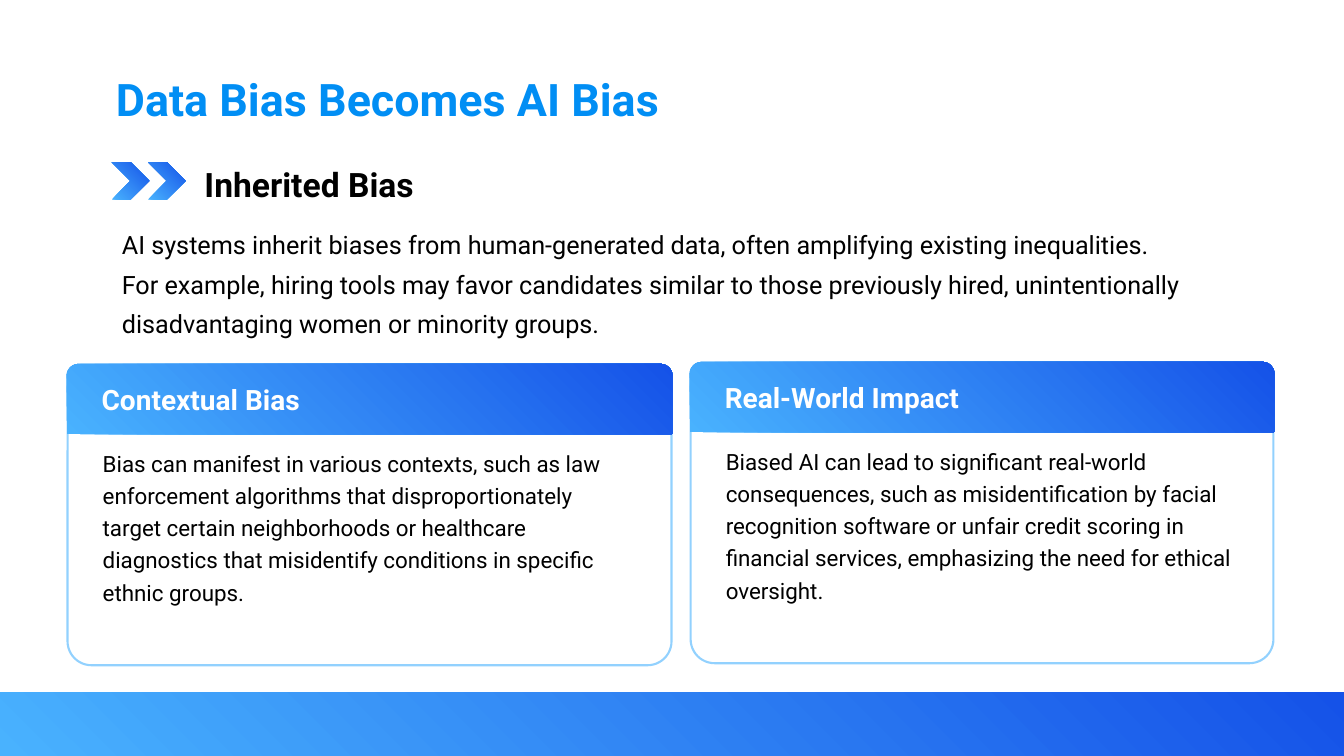
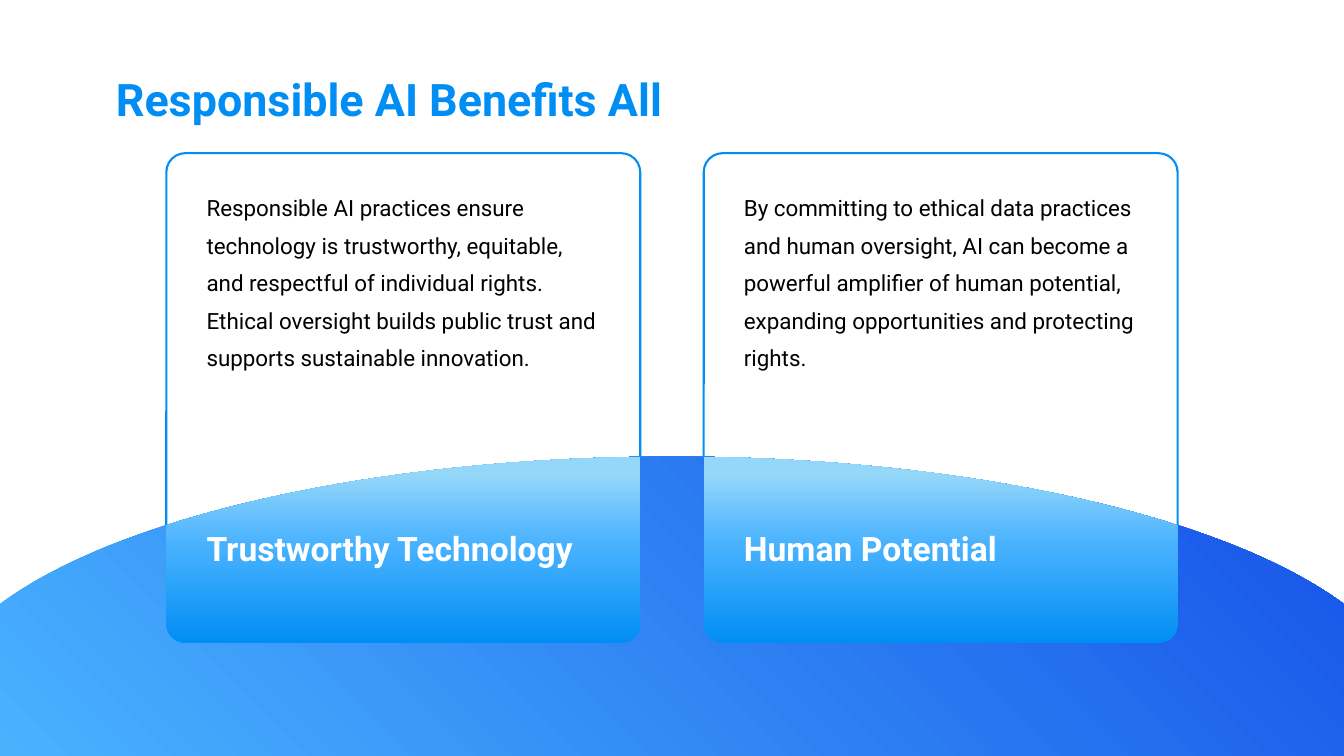
"""Build two slides on bias in AI and the benefits of responsible AI."""
import math

from lxml import etree
from pptx import Presentation
from pptx.dml.color import RGBColor
from pptx.enum import shapes, text
from pptx.oxml import ns
from pptx.util import Emu, Inches, Pt

FONT = "Roboto"
COLORS = {
    "title": "018EF4",
    "sky": "49B2FE",
    "royal": "1552E8",
    "mist": "95D7F9",
    "outline": "92D1FE",
    "black": "000000",
    "white": "FFFFFF",
}
BLUE_SWEEP = (((0, "sky"), (100, "royal")), 45)
BAND_FADE = (((0, "title"), (91, "sky"), (100, "sky")), 135)
CARD_FADE = (((0, "title"), (53, "sky"), (91, "mist"), (100, "mist")), 90)
SLIDE_WIDTH, SLIDE_HEIGHT = 13.33, 7.5
DOME_CENTER, DOME_TOP = SLIDE_WIDTH / 2, 4.53
DOME_RADIUS_X, DOME_RADIUS_Y = 7.35, 2.53

BIAS_CARDS = (
    (0.67, 3.63, 5.99, "Contextual Bias",
     "Bias can manifest in various contexts, such as law enforcement algorithms that "
     "disproportionately target certain neighborhoods or healthcare diagnostics that "
     "misidentify conditions in specific ethnic groups."),
    (6.85, 3.61, 5.78, "Real-World Impact",
     "Biased AI can lead to significant real-world consequences, such as misidentification "
     "by facial recognition software or unfair credit scoring in financial services, "
     "emphasizing the need for ethical oversight."),
)
BENEFIT_CARDS = (
    ("Trustworthy Technology",
     "Responsible AI practices ensure technology is trustworthy, equitable, and respectful "
     "of individual rights. Ethical oversight builds public trust and supports sustainable "
     "innovation."),
    ("Human Potential",
     "By committing to ethical data practices and human oversight, AI can become a powerful "
     "amplifier of human potential, expanding opportunities and protecting rights."),
)


def rgb(name):
    """Return the named colour."""
    return RGBColor.from_string(COLORS[name])


def format_text(frame, content, size, color, bold=False, spacing=None):
    """Write one left-aligned paragraph in the deck's font."""
    frame.text = content
    frame.word_wrap = True
    frame.vertical_anchor = text.MSO_ANCHOR.TOP
    frame.auto_size = text.MSO_AUTO_SIZE.SHAPE_TO_FIT_TEXT
    para = frame.paragraphs[0]
    para.alignment = text.PP_ALIGN.LEFT
    if spacing:
        para.line_spacing = spacing
    font = para.runs[0].font
    font.name, font.size, font.bold = FONT, Pt(size), bold
    font.color.rgb = rgb(color)


def add_text(page, area, content, size, color="black", bold=False, spacing=None):
    """Add a wrapped text box."""
    box = page.shapes.add_textbox(*map(Inches, area))
    format_text(box.text_frame, content, size, color, bold, spacing)


def add_page(deck, title, band):
    """Add a page with a styled title and a footer band."""
    page = deck.slides.add_slide(deck.slide_layouts[5])
    box = page.shapes.title
    box.left, box.top, box.width, box.height = map(Inches, (1.05, 0.66, 10.72, 0.55))
    format_text(box.text_frame, title, 32, "title", bold=True)
    add_gradient_shape(page, shapes.MSO_SHAPE.RECTANGLE, (0, 6.87, SLIDE_WIDTH, 0.63), band)
    return page


def paint_gradient(shape, gradient):
    """Give a shape a linear gradient without outline or shadow."""
    stops, angle = gradient
    shape.shadow.inherit = False
    shape.line.fill.background()
    shape.fill.gradient()
    shape.fill.gradient_angle = angle
    stop_list = shape._element.xpath(".//a:gsLst")[0]
    for stop in list(stop_list):
        stop_list.remove(stop)
    for position, color in stops:
        stop = etree.SubElement(stop_list, ns.qn("a:gs"), pos=str(position * 1000))
        etree.SubElement(stop, ns.qn("a:srgbClr"), val=COLORS[color])


def add_gradient_shape(page, kind, area, gradient=BLUE_SWEEP, adjustments=()):
    """Add a preset shape with a gradient."""
    shape = page.shapes.add_shape(kind, *map(Inches, area))
    for index, value in enumerate(adjustments):
        shape.adjustments[index] = value
    paint_gradient(shape, gradient)


def add_frame(page, area, radius, color):
    """Add a white rounded card with a coloured outline."""
    shape = page.shapes.add_shape(shapes.MSO_SHAPE.ROUNDED_RECTANGLE, *map(Inches, area))
    shape.adjustments[0] = radius
    shape.shadow.inherit = False
    shape.fill.solid()
    shape.fill.fore_color.rgb = rgb("white")
    shape.line.color.rgb = rgb(color)
    shape.line.width = Pt(1.5)


def arc(center, radii, start, end):
    """Return the four Bezier points of an elliptical arc between two angles."""
    pull = 4 / 3 * math.tan((end - start) / 4)
    (cos_a, sin_a), (cos_b, sin_b) = [(math.cos(a), math.sin(a)) for a in (start, end)]
    unit = [(cos_a, sin_a), (cos_a - pull * sin_a, sin_a + pull * cos_a),
            (cos_b + pull * sin_b, sin_b - pull * cos_b), (cos_b, sin_b)]
    return [(center[0] + radii[0] * x, center[1] + radii[1] * y) for x, y in unit]


def dome_arc(left, right):
    """Return the Bezier points of the dome's edge between two positions."""
    start, end = [-math.acos((x - DOME_CENTER) / DOME_RADIUS_X) for x in (left, right)]
    center = (DOME_CENTER, DOME_TOP + DOME_RADIUS_Y)
    return arc(center, (DOME_RADIUS_X, DOME_RADIUS_Y), start, end)


def add_outline(page, start, segments, gradient):
    """Add a closed freeform of lines (one point) and curves (three points)."""
    builder = page.shapes.build_freeform(*map(Inches, start), scale=1.0)
    points = [tuple(map(Inches, point)) for segment in segments for point in segment]
    builder.add_line_segments(points, close=True)
    shape = builder.convert_to_shape(Emu(0), Emu(0))
    lines = iter(shape._element.xpath(".//a:lnTo"))
    for segment in segments:
        group = [next(lines) for _ in segment]
        if len(group) == 3:
            curve = etree.Element(ns.qn("a:cubicBezTo"))
            group[0].addprevious(curve)
            for line in group:
                curve.append(line[0])
                line.getparent().remove(line)
    paint_gradient(shape, gradient)


def add_dome(page):
    """Add the dome that fills the foot of the page."""
    rise, fall = dome_arc(0, DOME_CENTER), dome_arc(DOME_CENTER, SLIDE_WIDTH)
    corners = [[(SLIDE_WIDTH, SLIDE_HEIGHT)], [(0, SLIDE_HEIGHT)]]
    add_outline(page, rise[0], [rise[1:], fall[1:], *corners], BLUE_SWEEP)


def add_card_foot(page, left, right, bottom, radius):
    """Add the part of a card that overlaps the dome."""
    edge = dome_arc(left, right)
    segments = [edge[1:]]
    for x, angle in ((right - radius, 0), (left + radius, math.pi / 2)):
        corner = arc((x, bottom - radius), (radius, radius), angle, angle + math.pi / 2)
        segments += [corner[:1], corner[1:]]
    add_outline(page, edge[0], segments, CARD_FADE)


def add_bias_card(page, left, top, width, heading, body):
    """Add a card with a gradient header."""
    add_frame(page, (left, top, width, 2.97), 0.08, "outline")
    add_gradient_shape(page, shapes.MSO_SHAPE.ROUND_2_SAME_RECTANGLE,
                       (left - 0.01, top - 0.02, width + 0.02, 0.7), adjustments=(0.17, 0))
    add_text(page, (left + 0.24, top + 0.12, width - 0.48, 0.34), heading, 20, "white", bold=True)
    add_text(page, (left + 0.25, top + 0.73, width - 0.5, 1.6), body, 16, spacing=1.2)


def build_bias_page(deck):
    """Build the page on inherited bias."""
    page = add_page(deck, "Data Bias Becomes AI Bias", BLUE_SWEEP)
    for index in range(2):
        add_gradient_shape(page, shapes.MSO_SHAPE.CHEVRON,
                           (1.11 + 0.36 * index, 1.61, 0.37, 0.37), adjustments=(0.5,))
    for card in BIAS_CARDS:
        add_bias_card(page, *card)
    add_text(page, (1.93, 1.58, 9.57, 0.4), "Inherited Bias", 24, bold=True)
    add_text(page, (1.11, 2.14, 10.71, 1.17),
             "AI systems inherit biases from human-generated data, often amplifying existing "
             "inequalities. For example, hiring tools may favor candidates similar to those "
             "previously hired, unintentionally disadvantaging women or minority groups.",
             18, spacing=1.3)


def build_benefits_page(deck):
    """Build the page on the benefits of responsible AI."""
    page = add_page(deck, "Responsible AI Benefits All", BAND_FADE)
    top, width, height, gap = 1.52, 4.7, 4.86, 0.63
    lefts = [1.65 + (width + gap) * index for index in range(len(BENEFIT_CARDS))]
    for left in lefts:
        add_frame(page, (left, top, width, height), 0.04, "title")
    add_dome(page)
    for left in lefts:
        add_card_foot(page, left, left + width, top + height, 0.19)
    for left, (heading, body) in zip(lefts, BENEFIT_CARDS):
        add_text(page, (left + 0.3, 5.19, 4.11, 0.4), heading, 24, "white", bold=True)
        add_text(page, (left + 0.3, 1.77, 4.11, 1.87), body, 16, spacing=1.4)


def main():
    """Build and save the deck."""
    deck = Presentation()
    deck.slide_width, deck.slide_height = Inches(SLIDE_WIDTH), Inches(SLIDE_HEIGHT)
    build_bias_page(deck)
    build_benefits_page(deck)
    deck.save("out.pptx")


if __name__ == "__main__":
    main()
